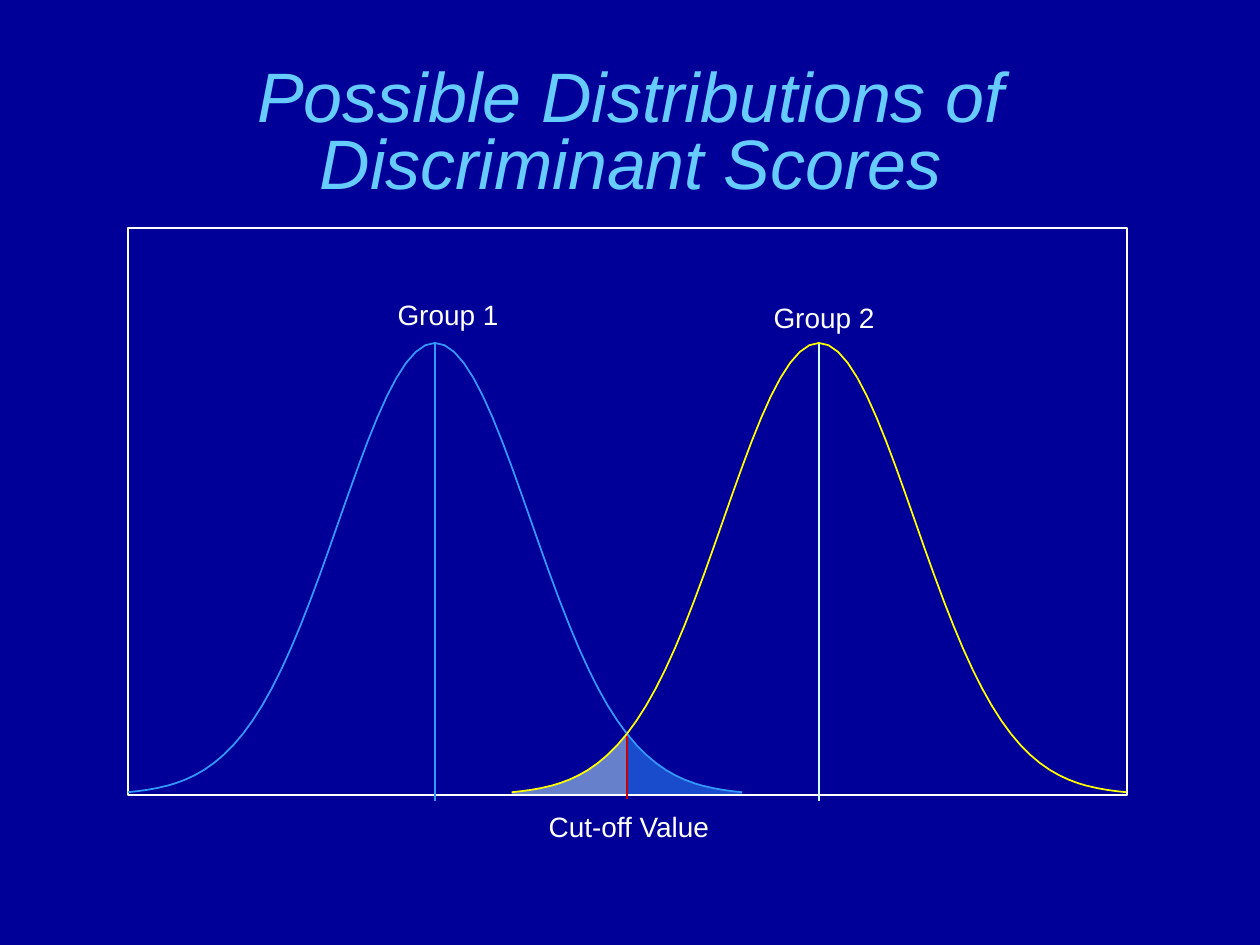
"""Build a slide showing two overlapping distributions of discriminant scores."""
from dataclasses import dataclass
from math import exp

from lxml.etree import SubElement
from pptx import Presentation
from pptx.dml.color import RGBColor
from pptx.enum.shapes import MSO_CONNECTOR, MSO_SHAPE
from pptx.enum.text import MSO_ANCHOR, MSO_AUTO_SIZE, PP_ALIGN
from pptx.oxml.ns import qn
from pptx.slide import Slide
from pptx.util import Emu, Pt

EMU_PER_PX = 914400 / 126
PEAK, BASELINE = 343, 795
SIGMA = 96
REACH, CUTOFF_REACH, SEGMENT = 32, 20, 4


@dataclass(frozen=True)
class Theme:
    """Colours and type sizes of the slide."""
    background: str = "000099"
    title: str = "66CCFF"
    white: str = "FFFFFF"
    blue: str = "3399FF"
    yellow: str = "FFFF00"
    pale: str = "CCFFFF"
    red: str = "CC0000"
    font: str = "Arial"
    title_size: int = 40
    label_size: int = 16
    line_width: int = 1
    tail_opacity: int = 50


THEME = Theme()


@dataclass(frozen=True)
class Group:
    """A bell curve, its mean line and its shaded tail, in tenths of sigma."""
    center: int
    curve_color: str
    mean_color: str
    tail_color: str
    tail_start: int
    tail_end: int


@dataclass(frozen=True)
class Line:
    """A straight line between two points."""
    start: tuple[int, int]
    end: tuple[int, int]
    color: str


@dataclass(frozen=True)
class Label:
    """A centred caption."""
    text: str
    left: int
    top: int
    width: int
    height: int = 47


GROUPS = (
    Group(435, THEME.blue, THEME.blue, THEME.blue, CUTOFF_REACH, REACH),
    Group(819, THEME.yellow, THEME.pale, THEME.pale, -REACH, -CUTOFF_REACH),
)
FRAME = (128, 228, 999, 567)
AXIS = Line((128, BASELINE), (1127, BASELINE), THEME.white)
LEFT_EDGE = Line((128, 228), (128, BASELINE), THEME.white)
CUTOFF = Line((627, 734), (627, 799), THEME.red)
LABELS = (
    Label("Group 1", 312, 291, 272),
    Label("Group 2", 688, 294, 272),
    Label("Cut-off Value", 533, 803, 192),
)


def px(value: float) -> Emu:
    """Turn pixels into EMU."""
    return Emu(round(value * EMU_PER_PX))


def color(value: str) -> RGBColor:
    """Turn a hex string into a colour."""
    return RGBColor.from_string(value)


def bell_points(center: int, start: int, end: int) -> list[tuple[Emu, Emu]]:
    """Return points of the normal curve between two tenths of sigma."""
    return [
        (px(center + SIGMA * tenth / 10),
         px(BASELINE - (BASELINE - PEAK) * exp(-((tenth / 10) ** 2) / 2)))
        for tenth in range(start, end + 1)
    ]


def outline(shape, line_color: str) -> None:
    """Leave a shape unfilled with a thin coloured line."""
    shape.shadow.inherit = False
    shape.fill.background()
    shape.line.color.rgb = color(line_color)
    shape.line.width = Pt(THEME.line_width)


def draw_freeform(slide: Slide, points: list[tuple[Emu, Emu]], close: bool):
    """Draw straight segments through the points."""
    builder = slide.shapes.build_freeform(*points[0])
    builder.add_line_segments(points[1:], close=close)
    return builder.convert_to_shape()


def draw_tail(slide: Slide, group: Group) -> None:
    """Shade the part of a curve beyond the cut-off."""
    curve = bell_points(group.center, group.tail_start, group.tail_end)
    base = [(curve[-1][0], px(BASELINE)), (curve[0][0], px(BASELINE))]
    shape = draw_freeform(slide, curve + base, close=True)
    shape.shadow.inherit = False
    shape.fill.solid()
    shape.fill.fore_color.rgb = color(group.tail_color)
    fill_color = shape.element.spPr.find(".//" + qn("a:srgbClr"))
    SubElement(fill_color, qn("a:alpha"), val=str(THEME.tail_opacity * 1000))
    shape.line.fill.background()


def draw_curve(slide: Slide, group: Group) -> None:
    """Draw the bell curve of a group in equal segments."""
    for start in range(-REACH, REACH, SEGMENT):
        points = bell_points(group.center, start, start + SEGMENT)
        outline(draw_freeform(slide, points, close=False), group.curve_color)


def draw_line(slide: Slide, line: Line) -> None:
    """Draw a straight line without a shadow."""
    connector = slide.shapes.add_connector(
        MSO_CONNECTOR.STRAIGHT, *map(px, line.start + line.end))
    connector.line.color.rgb = color(line.color)
    connector.line.width = Pt(THEME.line_width)
    SubElement(connector.element.spPr, qn("a:effectLst"))


def write(paragraph, text: str, size: int, text_color: str, italic: bool = False) -> None:
    """Add one centred run to a paragraph."""
    paragraph.alignment = PP_ALIGN.CENTER
    run = paragraph.add_run()
    run.text = text
    run.font.name = THEME.font
    run.font.size = Pt(size)
    run.font.italic = italic
    run.font.color.rgb = color(text_color)


def draw_title(slide: Slide, text: str) -> None:
    """Place and format the title."""
    title = slide.shapes.title
    title.left, title.top, title.width, title.height = map(px, (53, 84, 1155, 103))
    frame = title.text_frame
    frame.word_wrap = True
    frame.auto_size = MSO_AUTO_SIZE.NONE
    frame.vertical_anchor = MSO_ANCHOR.MIDDLE
    paragraph = frame.paragraphs[0]
    paragraph.line_spacing = 0.8
    write(paragraph, text, THEME.title_size, THEME.title, italic=True)


def draw_label(slide: Slide, label: Label) -> None:
    """Draw a caption."""
    box = slide.shapes.add_textbox(
        *map(px, (label.left, label.top, label.width, label.height)))
    box.text_frame.word_wrap = True
    write(box.text_frame.paragraphs[0], label.text, THEME.label_size, THEME.white)


def main() -> None:
    """Build and save the presentation."""
    presentation = Presentation()
    presentation.slide_width, presentation.slide_height = px(1260), px(945)
    slide = presentation.slides.add_slide(presentation.slide_layouts[5])
    slide.background.fill.solid()
    slide.background.fill.fore_color.rgb = color(THEME.background)

    draw_title(slide, "Possible Distributions of Discriminant Scores")
    for group in GROUPS:
        draw_tail(slide, group)
    draw_line(slide, AXIS)
    outline(slide.shapes.add_shape(MSO_SHAPE.RECTANGLE, *map(px, FRAME)), THEME.white)
    draw_line(slide, CUTOFF)
    draw_line(slide, LEFT_EDGE)
    for group in GROUPS:
        draw_curve(slide, group)
    for group in GROUPS:
        draw_line(slide, Line((group.center, 344), (group.center, 801), group.mean_color))
    for label in LABELS:
        draw_label(slide, label)
    presentation.save("out.pptx")


if __name__ == "__main__":
    main()
